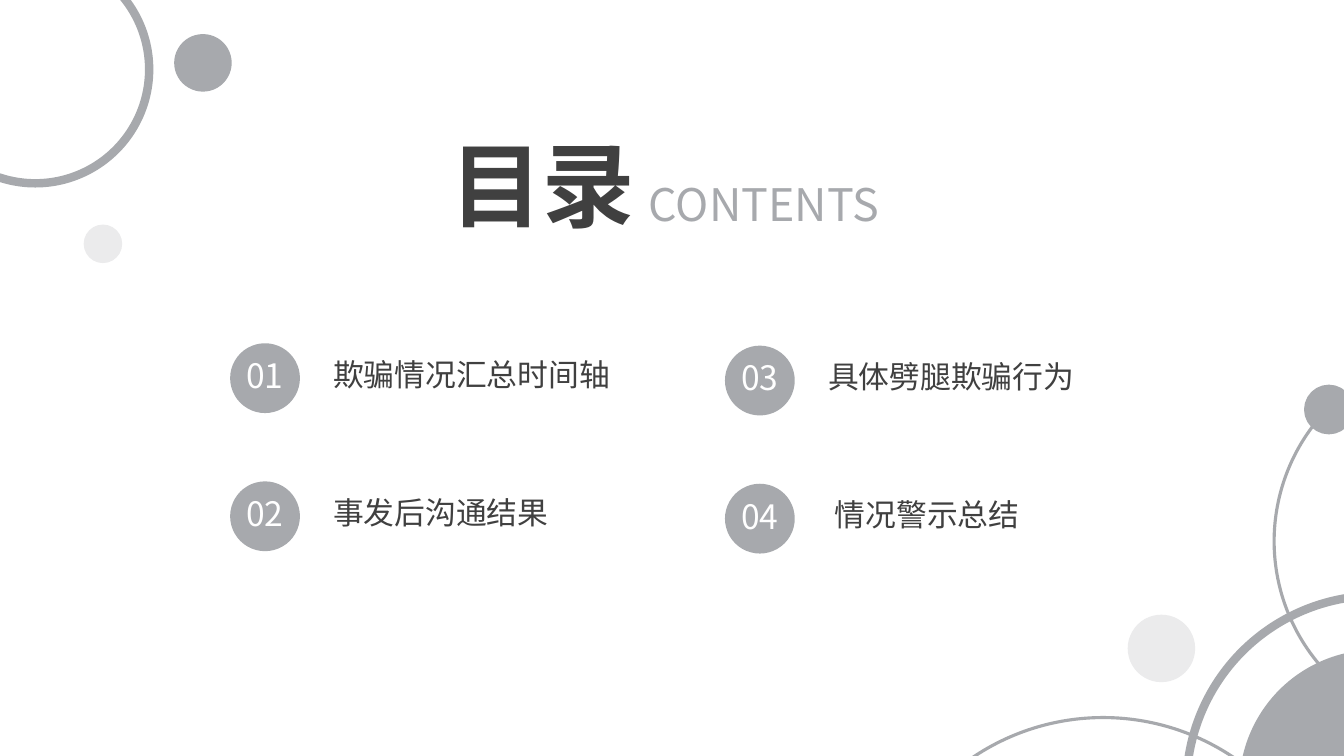
"""Build the contents slide with four numbered topics and circle decorations."""
from lxml.etree import SubElement
from pptx import Presentation
from pptx.dml.color import RGBColor
from pptx.enum.shapes import MSO_SHAPE
from pptx.enum.text import MSO_ANCHOR, MSO_AUTO_SIZE, PP_ALIGN
from pptx.oxml.ns import qn
from pptx.util import Cm, Pt

FONT = "Noto Sans CJK SC"
DARK = RGBColor(0x40, 0x40, 0x40)
GRAY = RGBColor(0xA7, 0xA9, 0xAD)
PALE = RGBColor(0xEB, 0xEB, 0xEC)
WHITE = RGBColor(0xFF, 0xFF, 0xFF)


def write_text(shape, text, size, color, align=PP_ALIGN.LEFT, wrap=True):
    frame = shape.text_frame
    frame.word_wrap = wrap
    frame.auto_size = MSO_AUTO_SIZE.SHAPE_TO_FIT_TEXT
    frame.vertical_anchor = MSO_ANCHOR.TOP
    paragraph = frame.paragraphs[0]
    paragraph.alignment = align
    run = paragraph.add_run()
    run.text = text
    run.font.size = Pt(size)
    run.font.color.rgb = color
    run.font.name = FONT
    SubElement(run.font._element, qn("a:ea"), typeface=FONT)
    return paragraph


def add_round(shapes, left, top, size, fill, line_width, kind=MSO_SHAPE.OVAL):
    shape = shapes.add_shape(kind, Cm(left), Cm(top), Cm(size), Cm(size))
    shape.shadow.inherit = False
    if fill is None:
        shape.fill.background()
    else:
        shape.fill.solid()
        shape.fill.fore_color.rgb = fill
    if line_width:
        shape.line.color.rgb = GRAY
        shape.line.width = Pt(line_width)
    else:
        shape.line.fill.background()
    return shape


presentation = Presentation()
presentation.slide_width = Cm(33.87)
presentation.slide_height = Cm(19.05)
slide = presentation.slides.add_slide(presentation.slide_layouts[5])

title = slide.shapes.title
title.left, title.top, title.width, title.height = Cm(11.1), Cm(3.1), Cm(5.56), Cm(3.07)
heading = write_text(title, "目录", 66, DARK)
heading.runs[0].font.bold = True

subtitle = slide.shapes.add_textbox(Cm(16.1), Cm(4.34), Cm(7.82), Cm(1.63))
write_text(subtitle, "CONTENTS", 32, GRAY)

topics = [
    ("欺骗情况汇总时间轴", 8.76, 0.25),
    ("事发后沟通结果", 6.76, 0.25),
    ("具体劈腿欺骗行为", 7.09, 0.25),
    ("情况警示总结", 5.46, 0.42),
]
for index, (topic, width, inset) in enumerate(topics):
    column, row = divmod(index, 2)
    left = 5.84 + 12.47 * column
    top = 8.69 + 3.48 * row + 0.06 * column
    group = slide.shapes.add_group_shape()
    label = group.shapes.add_textbox(Cm(left + 2.31), Cm(top - 0.13), Cm(width), Cm(1.37))
    label.text_frame.margin_left = Cm(inset)
    write_text(label, topic, 22, DARK).line_spacing = 1.3
    add_round(group.shapes, left, top, 1.68, GRAY, 2.25)
    number = group.shapes.add_textbox(Cm(left + 0.09), Cm(top + 0.13), Cm(1.5), Cm(1.27))
    write_text(number, f"{index + 1:02d}", 24, WHITE, PP_ALIGN.CENTER, False)

decoration = slide.shapes.add_group_shape()
arc = add_round(decoration.shapes, 21.92, 18.08, 11.76, None, 2.25, MSO_SHAPE.ARC)
arc.adjustments[0] = 13.98
arc.adjustments[1] = 94.1
arc.rotation = 180

circles = [
    (29.9, 15.01, 9.6, None, 6),
    (31.27, 16.41, 6.83, GRAY, 2.25),
    (32.11, 8.84, 9.6, None, 2.25),
    (32.97, 9.8, 1.04, GRAY, 6),
    (28.42, 15.49, 1.7, PALE, 0),
    (-1.98, -1.12, 5.74, None, 6),
    (2.11, 5.66, 0.97, PALE, 0),
    (4.39, 0.86, 1.45, GRAY, 0),
]
for left, top, size, fill, line_width in circles:
    add_round(decoration.shapes, left, top, size, fill, line_width)

presentation.save("out.pptx")
